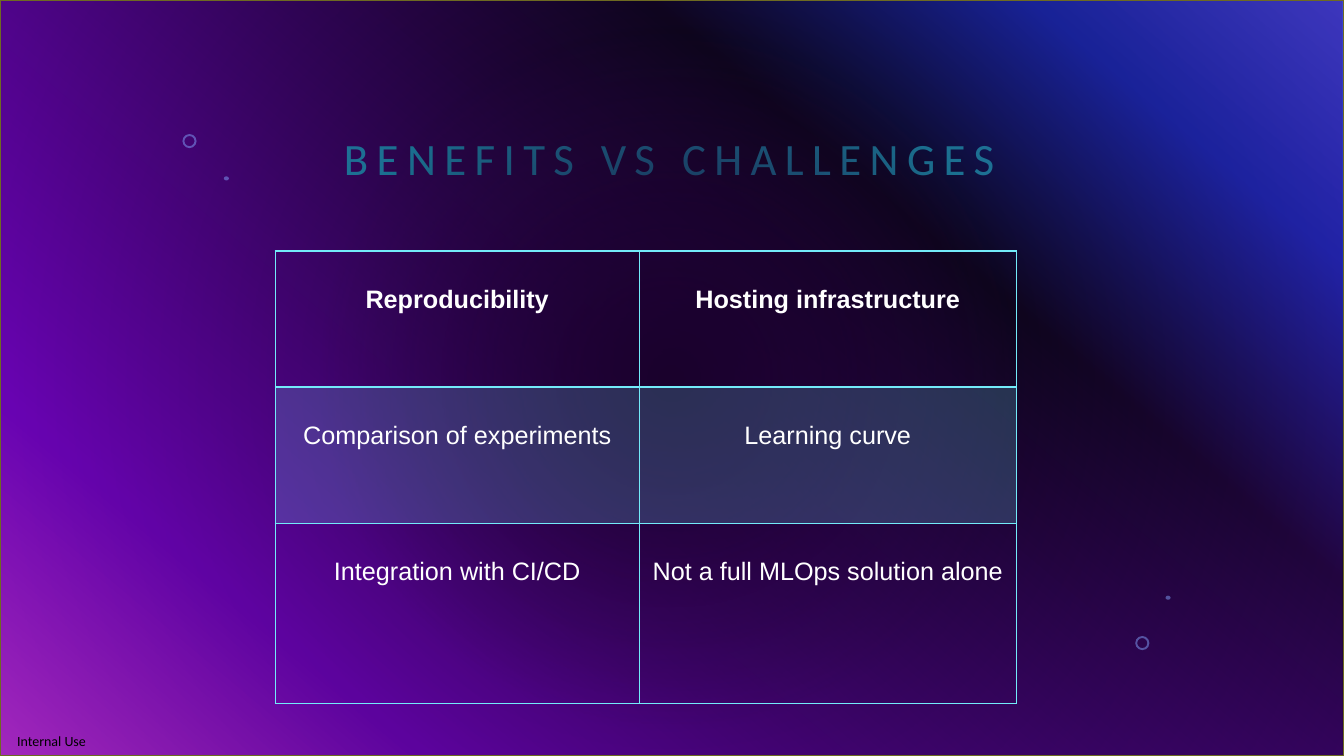
from lxml.etree import SubElement
from pptx import Presentation
from pptx.dml.color import RGBColor
from pptx.enum.shapes import MSO_SHAPE
from pptx.enum.text import MSO_ANCHOR, MSO_AUTO_SIZE, PP_ALIGN
from pptx.oxml.ns import qn
from pptx.util import Inches, Pt

# Content
TITLE = "BENEFITS VS CHALLENGES"
LABEL = "Internal Use"
ROWS = [
    ("Reproducibility", "Hosting infrastructure"),
    ("Comparison of experiments", "Learning curve"),
    ("Integration with CI/CD", "Not a full MLOps solution alone"),
]
WIDTHS = [3.61, 3.74]
HEIGHTS = [1.35, 1.35, 1.79]

# Rings and dots: left, top, width, height
RINGS = [(1.81, 1.33, 0.14, 0.14), (11.26, 6.31, 0.14, 0.14)]
DOTS = [(2.22, 1.75, 0.05, 0.04), (11.56, 5.91, 0.05, 0.04)]

THEME = {
    "title": "1CDFF5", "text": "FFFFFF", "label": "000000",
    "grid": "73EBF9", "frame": "6E6A21", "deco": "83A7FD",
    "head": "Calibri", "body": "Arial",
    "title_size": 32, "body_size": 18, "label_size": 10,
    # Gradient stops: position, colour, opacity in percent
    "sky": [(0, "316CFC", 100), (14, "0343DF", 100), (31, "02090E", 100),
            (81, "9405FC", 100), (100, "FC4EFB", 100)],
    "veil": [(0, "1A012C", 100), (45, "1A012C", 50), (100, "4A027F", 50)],
}


def add(parent, tag, **attrs):
    return SubElement(parent, qn(tag), {k: str(v) for k, v in attrs.items()})


def box(left, top, width, height):
    return [Inches(v) for v in (left, top, width, height)]


def style(run, font, size, color, bold=False):
    values = {"name": font, "size": Pt(size), "bold": bold}
    for key, value in values.items():
        setattr(run.font, key, value)
    run.font.color.rgb = RGBColor.from_string(color)


def blend(owner, stops):
    """Fill a gradient with stops and return its element."""
    grad = owner.find(".//" + qn("a:gradFill"))
    grad.clear()
    grad.set("rotWithShape", "1")
    group = add(grad, "a:gsLst")
    for place, color, alpha in stops:
        stop = add(group, "a:gs", pos=place * 1000)
        tint = add(stop, "a:srgbClr", val=color)
        if alpha < 100:
            add(tint, "a:alpha", val=alpha * 1000)
    return grad


def solid(fill, owner, color, alpha):
    fill.solid()
    fill.fore_color.rgb = RGBColor.from_string(color)
    tint = owner.find(qn("a:solidFill")).find(qn("a:srgbClr"))
    add(tint, "a:alpha", val=alpha * 1000)


def border(cell, row):
    props = cell._tc.get_or_add_tcPr()
    heavy = {0: "B", 1: "T"}.get(row)
    for side in "LRTB":
        width = Pt(2 if side == heavy else 1)
        line = add(props, "a:ln" + side, w=width)
        add(add(line, "a:solidFill"), "a:srgbClr", val=THEME["grid"])
    return props


deck = Presentation()
deck.slide_width, deck.slide_height = Inches(13.33), Inches(7.5)
slide = deck.slides.add_slide(deck.slide_layouts[5])
shapes = slide.shapes

# Background
slide.background.fill.gradient()
sky = blend(slide.element, THEME["sky"])
add(sky, "a:lin", ang=130 * 60000, scaled=0)

# Dark veil
veil = shapes.add_shape(MSO_SHAPE.RECTANGLE, *box(0, 0, 13.33, 7.5))
veil.shadow.inherit = False
veil.fill.gradient()
grad = blend(veil.element, THEME["veil"])
round_fade = add(grad, "a:path", path="circle")
add(round_fade, "a:fillToRect", l=50000, t=50000, r=50000, b=50000)
veil.line.color.rgb = RGBColor.from_string(THEME["frame"])
veil.line.width = Pt(1)

# Rings and dots
for kind, places in ((MSO_SHAPE.DONUT, RINGS), (MSO_SHAPE.OVAL, DOTS)):
    for place in places:
        mark = shapes.add_shape(kind, *box(*place))
        mark.shadow.inherit = False
        mark.line.fill.background()
        solid(mark.fill, mark.element.spPr, THEME["deco"], 49)
        if kind == MSO_SHAPE.DONUT:
            mark.adjustments[0] = 0.14

# Corner label
label = shapes.add_textbox(*box(0, 7.21, 1.03, 0.29)).text_frame
frame = {"word_wrap": True, "vertical_anchor": MSO_ANCHOR.MIDDLE,
         "margin_left": Inches(0.17), "margin_right": 0,
         "margin_top": 0, "margin_bottom": 0}
for key, value in frame.items():
    setattr(label, key, value)
run = label.paragraphs[0].add_run()
run.text = LABEL
style(run, THEME["head"], THEME["label_size"], THEME["label"])

# Title
title = shapes.title
title.left, title.top, title.width, title.height = box(2.45, 0.27, 8.38, 1.62)
title.text_frame.auto_size = MSO_AUTO_SIZE.NONE
title.text_frame.vertical_anchor = MSO_ANCHOR.BOTTOM
para = title.text_frame.paragraphs[0]
para.alignment, para.line_spacing = PP_ALIGN.CENTER, 0.9
run = para.add_run()
run.text = TITLE
style(run, THEME["head"], THEME["title_size"], THEME["title"])
run.font._element.set("spc", "600")

# Table
area = box(2.73, 2.49, sum(WIDTHS), sum(HEIGHTS))
table = shapes.add_table(len(ROWS), len(WIDTHS), *area).table
table.horz_banding = False
for col, width in zip(table.columns, WIDTHS):
    col.width = Inches(width)
for r, texts in enumerate(ROWS):
    table.rows[r].height = Inches(HEIGHTS[r])
    for c, text in enumerate(texts):
        cell = table.cell(r, c)
        cell.margin_top = Inches(0.34)
        props = border(cell, r)
        if r == 1:
            solid(cell.fill, props, THEME["grid"], 20)
        else:
            cell.fill.background()
        para = cell.text_frame.paragraphs[0]
        para.alignment = PP_ALIGN.CENTER
        run = para.add_run()
        run.text = text
        style(run, THEME["body"], THEME["body_size"], THEME["text"], r == 0)

deck.save("out.pptx")
